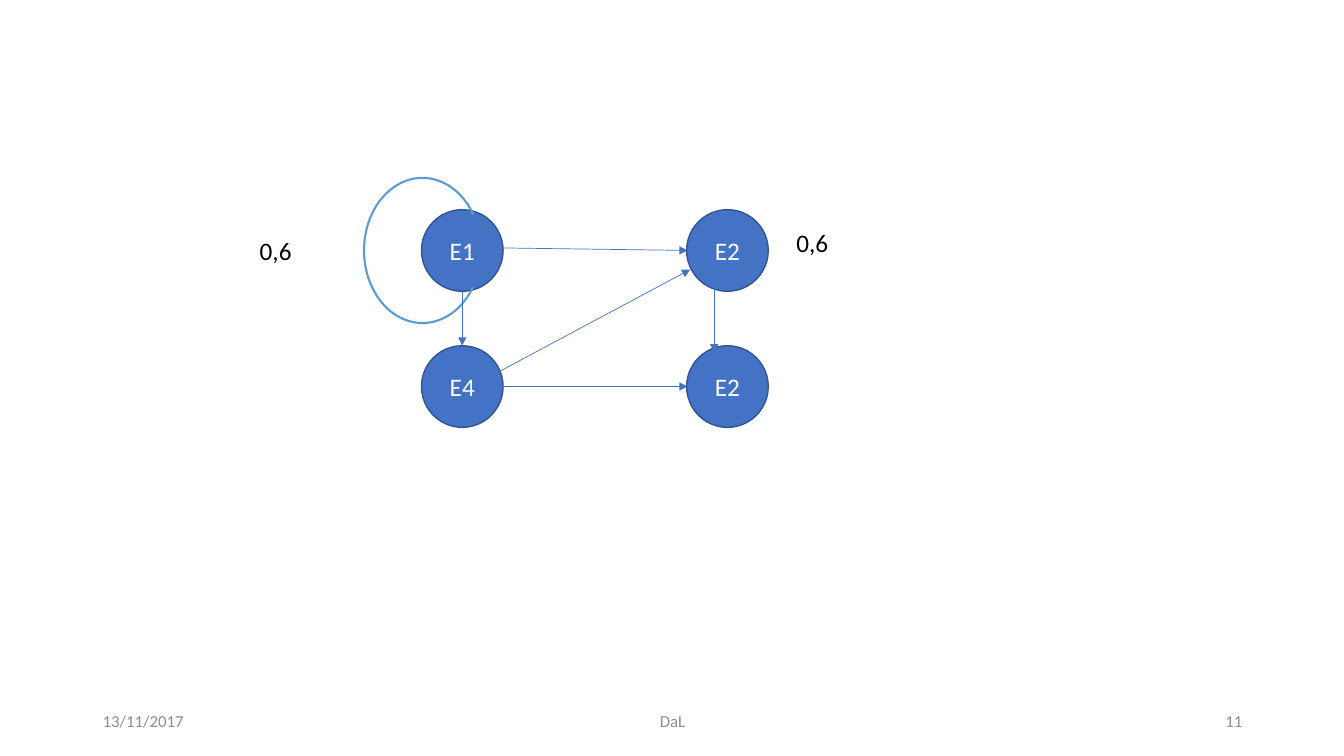
"""Build a slide with a small state graph and its footer."""
from lxml import etree
from pptx import Presentation
from pptx.dml.color import RGBColor
from pptx.enum.shapes import MSO_CONNECTOR, MSO_SHAPE
from pptx.enum.text import MSO_ANCHOR, PP_ALIGN
from pptx.oxml.ns import qn
from pptx.util import Inches, Pt

OVAL, ARC = MSO_SHAPE.OVAL, MSO_SHAPE.ARC
STRAIGHT = MSO_CONNECTOR.STRAIGHT
TOP, MIDDLE = MSO_ANCHOR.TOP, MSO_ANCHOR.MIDDLE
LEFT, CENTER, RIGHT = PP_ALIGN.LEFT, PP_ALIGN.CENTER, PP_ALIGN.RIGHT

BLUE = RGBColor(0x44, 0x72, 0xC4)
NAVY = RGBColor(0x32, 0x54, 0x91)
SKY = RGBColor(0x5B, 0x9B, 0xD5)
GREY = RGBColor(0x8C, 0x8C, 0x8C)
BLACK = RGBColor(0, 0, 0)
WHITE = RGBColor(255, 255, 255)

ORIGIN = (4.585, 2.485)
STEP = (2.63, 1.35)
NODE = 0.81
MARGIN, UNIT = 0.92, 0.5

NODES = [("E1", 0, 0), ("E2", 1, 0), ("E2", 1, 1), ("E4", 0, 1)]
EDGES = [
    ((0.1, -0.02), (0.85, 0)),
    ((0.15, 1), (0.85, 1)),
    ((0.12, 0.91), (0.86, 0.14)),
    ((0.95, 0.25), (0.95, 0.75)),
    ((0, 0.3), (0, 0.7)),
]
LABELS = [("0,6", -0.63, 0, 0.9), ("0,6", 1.35, -0.06, 0.67)]
FOOTER = [("13/11/2017", 0, 6, LEFT), ("DaL", 7, 9, CENTER), ("11", 17, 6, RIGHT)]


def point(col, row):
    """Return the inches of a place on the node grid."""
    return ORIGIN[0] + col * STEP[0], ORIGIN[1] + row * STEP[1]


def box(col, row, wide, high):
    """Return the frame centred on a place of the node grid."""
    x, y = point(col, row)
    return [Inches(n) for n in (x - wide / 2, y - high / 2, wide, high)]


def write(shape, text, size=18, color=BLACK, align=LEFT, anchor=TOP):
    """Put formatted text into a shape."""
    frame = shape.text_frame
    frame.word_wrap = True
    frame.vertical_anchor = anchor
    para = frame.paragraphs[0]
    para.alignment = align
    run = para.add_run()
    run.text = text
    run.font.name = "Calibri"
    run.font.size = Pt(size)
    run.font.color.rgb = color


def add_node(slide, text, col, row):
    """Draw a named state."""
    node = slide.shapes.add_shape(OVAL, *box(col, row, NODE, NODE))
    node.shadow.inherit = False
    node.fill.solid()
    node.fill.fore_color.rgb = BLUE
    node.line.color.rgb = NAVY
    node.line.width = Pt(1)
    write(node, text, color=WHITE, align=CENTER, anchor=MIDDLE)


def add_loop(slide, col, row):
    """Draw the open loop around a state."""
    loop = slide.shapes.add_shape(ARC, *box(col, row, 1.16, 1.44))
    loop.adjustments[0] = 21.71
    loop.adjustments[1] = 194.74
    loop.shadow.inherit = False
    loop.fill.background()
    loop.line.color.rgb = SKY
    loop.line.width = Pt(1.5)


def add_edge(slide, start, end):
    """Draw an arrow between two places of the grid."""
    ends = [Inches(n) for n in point(*start) + point(*end)]
    edge = slide.shapes.add_connector(STRAIGHT, *ends)
    edge.line.color.rgb = BLUE
    edge.line.width = Pt(0.5)
    props = edge.element.spPr
    etree.SubElement(props.find(qn("a:ln")), qn("a:tailEnd"), type="triangle")
    etree.SubElement(props, qn("a:effectLst"))


def add_label(slide, text, col, row, wide):
    """Write a weight beside a state."""
    write(slide.shapes.add_textbox(*box(col, row, wide, 0.4)), text)


def add_foot(slide, text, col, span, align):
    """Write one part of the footer."""
    frame = (MARGIN + col * UNIT, 6.95, span * UNIT, 0.4)
    part = slide.shapes.add_textbox(*[Inches(n) for n in frame])
    write(part, text, size=12, color=GREY, align=align, anchor=MIDDLE)


def main():
    """Build and save the slide."""
    deck = Presentation()
    deck.slide_width, deck.slide_height = Inches(13.33), Inches(7.5)
    slide = deck.slides.add_slide(deck.slide_layouts[6])
    for part in FOOTER:
        add_foot(slide, *part)
    for node in NODES:
        add_node(slide, *node)
    add_loop(slide, -0.15, 0)
    for edge in EDGES:
        add_edge(slide, *edge)
    for label in LABELS:
        add_label(slide, *label)
    deck.save("out.pptx")


if __name__ == "__main__":
    main()
